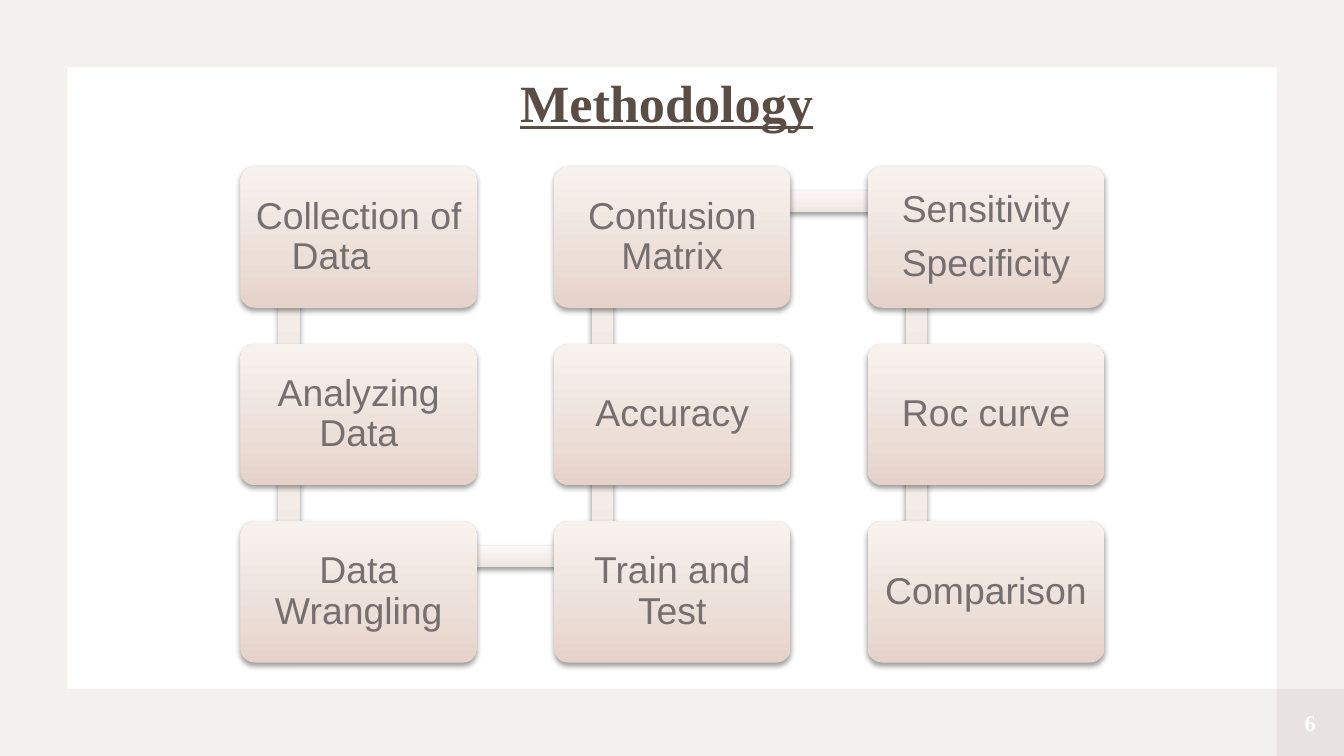
"""Build the Methodology slide: nine process steps joined in a snaking flow."""
from dataclasses import dataclass

import pptx
import pptx.dml.color
import pptx.enum.shapes
import pptx.enum.text
import pptx.oxml
import pptx.oxml.ns
import pptx.util
from pptx.util import Inches

SHAPE = pptx.enum.shapes.MSO_SHAPE
ALIGN = pptx.enum.text.PP_ALIGN
ANCHOR = pptx.enum.text.MSO_ANCHOR
qn = pptx.oxml.ns.qn
NS = pptx.oxml.ns.nsdecls("a")


@dataclass(frozen=True)
class Theme:
    """Colours, fonts and type sizes."""
    tint: str = "3B1106"
    tint_alpha: int = 6
    title: str = "5B4C44"
    text: str = "756F6F"
    white: str = "FFFFFF"
    box: tuple = ((0, "E5D2C8"), (35, "ECDFD8"), (100, "F8F2EF"))
    bar: tuple = ((0, "EFE5E0"), (35, "F4ECE9"), (100, "FBF7F6"))
    heading_font: str = "Times New Roman"
    body_font: str = "Arial"
    title_size: int = 28
    body_size: int = 20
    number_size: int = 12


THEME = Theme()
SLIDE_W = 10
SLIDE_H = SLIDE_W * 9 / 16
BORDER = 0.5
LEFT, TOP = 1.79, 1.24
BOX_W, BOX_H = 1.76, 1.05
PITCH_X, PITCH_Y = 7 / 3, 1.32
BAR, BAR_INSET = 0.16, 0.36
COLUMNS = (
    (("Collection of Data\t",), ("Analyzing Data",), ("Data Wrangling",)),
    (("Confusion Matrix",), ("Accuracy",), ("Train and Test",)),
    (("Sensitivity", "Specificity"), ("Roc curve",), ("Comparison",)),
)
TURNS = ((0, 2), (1, 0))


def rgb(value):
    """Return an RGB colour from its hex form."""
    return pptx.dml.color.RGBColor.from_string(value)


def add_shape(s, kind, x, y, w, h):
    """Add a preset shape without outline or shadow."""
    sp = s.shapes.add_shape(kind, Inches(x), Inches(y), Inches(w), Inches(h))
    sp.shadow.inherit = False
    sp.line.fill.background()
    return sp


def add_tinted(s, kind, x, y, w, h):
    """Add a shape with the transparent tint."""
    sp = add_shape(s, kind, x, y, w, h)
    sp.fill.solid()
    sp.fill.fore_color.rgb = rgb(THEME.tint)
    color = sp._element.spPr.find(qn("a:solidFill"))[0]
    color.append(pptx.oxml.parse_xml(f'<a:alpha {NS} val="{THEME.tint_alpha * 1000}"/>'))
    return sp


def add_raised(s, kind, x, y, w, h, stops):
    """Add a shape with an upward gradient and a soft shadow below."""
    sp = add_shape(s, kind, x, y, w, h)
    sp.fill.gradient()
    sp.fill.gradient_angle = 90
    props = sp._element.spPr
    gradient = props.find(qn("a:gradFill"))
    gradient.set("rotWithShape", "0")
    stop_list = gradient.find(qn("a:gsLst"))
    for stop in list(stop_list):
        stop_list.remove(stop)
    for pos, color in stops:
        stop_list.append(pptx.oxml.parse_xml(
            f'<a:gs {NS} pos="{pos * 1000}"><a:srgbClr val="{color}"/></a:gs>'))
    props.find(qn("a:effectLst")).append(pptx.oxml.parse_xml(
        f'<a:outerShdw {NS} blurRad="{pptx.util.Pt(3.1)}" dist="{pptx.util.Pt(1.6)}" '
        'dir="5400000" rotWithShape="0"><a:srgbClr val="000000">'
        '<a:alpha val="38000"/></a:srgbClr></a:outerShdw>'))
    return sp


def add_run(p, text, font, size, color, bold=False, underline=False):
    """Add a formatted run to a centred paragraph."""
    p.alignment = ALIGN.CENTER
    r = p.add_run()
    r.text = text
    r.font.name = font
    r.font.size = pptx.util.Pt(size)
    r.font.color.rgb = rgb(color)
    r.font.bold = bold
    r.font.underline = underline


def add_title(s, text):
    """Add the slide title."""
    tf = s.shapes.add_textbox(Inches(3.06), Inches(0.47), Inches(3.8), Inches(0.57)).text_frame
    tf.word_wrap = True
    tf.auto_size = pptx.enum.text.MSO_AUTO_SIZE.SHAPE_TO_FIT_TEXT
    add_run(tf.paragraphs[0], text, THEME.heading_font, THEME.title_size, THEME.title, True, True)


def add_page_number(s, text):
    """Add the page number on its tinted corner square."""
    tf = add_tinted(s, SHAPE.RECTANGLE, SLIDE_W - BORDER, SLIDE_H - BORDER,
                    BORDER, BORDER).text_frame
    tf.vertical_anchor = ANCHOR.MIDDLE
    add_run(tf.paragraphs[0], text, THEME.heading_font, THEME.number_size, THEME.white, True)


def add_bar(s, col, row, across=False):
    """Add the bar from a step to the one below it or to its right."""
    x, y = LEFT + col * PITCH_X + BAR_INSET, TOP + row * PITCH_Y
    if across:
        add_raised(s, SHAPE.RECTANGLE, x, y + 0.18, PITCH_X, BAR, THEME.bar)
        return
    sp = add_raised(s, SHAPE.RECTANGLE, x - PITCH_Y / 2, y + 0.84, PITCH_Y, BAR, THEME.bar)
    sp.rotation = 270 if col % 2 else 90


def add_step(s, col, row, lines):
    """Add one step box with its label."""
    sp = add_raised(s, SHAPE.ROUNDED_RECTANGLE, LEFT + col * PITCH_X, TOP + row * PITCH_Y,
                    BOX_W, BOX_H, THEME.box)
    sp.adjustments[0] = 0.1
    tf = sp.text_frame
    tf.word_wrap = True
    tf.vertical_anchor = ANCHOR.MIDDLE
    tf.margin_left = tf.margin_right = tf.margin_top = tf.margin_bottom = Inches(0.08)
    for i, line in enumerate(lines):
        p = tf.add_paragraph() if i else tf.paragraphs[0]
        p.line_spacing = 0.9
        p.space_after = pptx.util.Pt(0.35 * THEME.body_size)
        add_run(p, line, THEME.body_font, THEME.body_size, THEME.text)


def main():
    """Build and save the slide."""
    prs = pptx.Presentation()
    prs.slide_width, prs.slide_height = Inches(SLIDE_W), Inches(SLIDE_H)
    s = prs.slides.add_slide(prs.slide_layouts[6])
    frame = add_tinted(s, SHAPE.FRAME, 0, 0, SLIDE_W, SLIDE_H)
    frame.adjustments[0] = BORDER / SLIDE_H
    add_page_number(s, "6")
    add_title(s, "Methodology")
    for col, steps in enumerate(COLUMNS):
        for row in range(len(steps) - 1):
            add_bar(s, col, row)
    for col, row in TURNS:
        add_bar(s, col, row, across=True)
    for col, steps in enumerate(COLUMNS):
        for row, lines in enumerate(steps):
            add_step(s, col, row, lines)
    prs.save("out.pptx")


if __name__ == "__main__":
    main()
